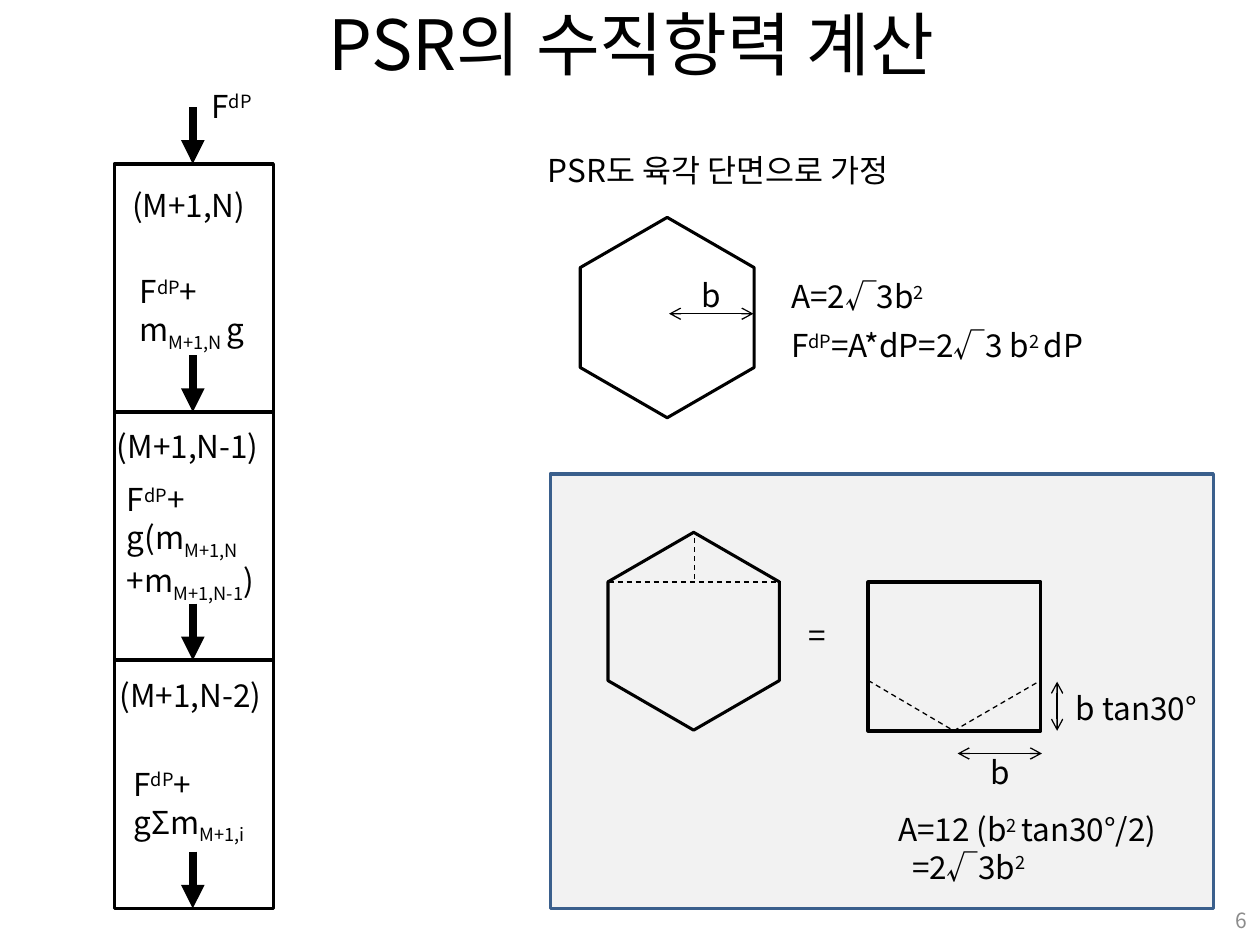
"""Build the slide on the normal force of the PSR columns."""
from lxml import etree
from pptx import Presentation
from pptx.dml.color import RGBColor
from pptx.enum.dml import MSO_LINE
from pptx.enum.shapes import MSO_CONNECTOR, MSO_SHAPE as SHAPE
from pptx.enum.text import MSO_ANCHOR as ANCHOR, MSO_AUTO_SIZE as FIT, PP_ALIGN as ALIGN
from pptx.oxml.ns import qn
from pptx.util import Inches, Pt

COLORS = {"ink": "000000", "paper": "FFFFFF", "panel": "F2F2F2",
          "border": "3A5F8C", "number": "8C8C8C"}
FONT = "Noto Sans CJK KR"
BASELINES = {"^": "30000", "_": "-25000"}


def color(name):
    return RGBColor.from_string(COLORS[name])


def write(frame, text, size=18, ink="ink", align=ALIGN.LEFT):
    """Split runs at bars; a leading ^ raises a run and a leading _ lowers it."""
    for index, content in enumerate(text.split("\n")):
        paragraph = frame.paragraphs[0] if index == 0 else frame.add_paragraph()
        paragraph.alignment = align
        for part in content.split("|"):
            run = paragraph.add_run()
            run.text = part.lstrip("^_")
            for name, value in {"size": Pt(size), "name": FONT}.items():
                setattr(run.font, name, value)
            run.font.color.rgb = color(ink)
            properties = run.font._element
            etree.SubElement(properties, qn("a:ea"), typeface=FONT)
            if part[0] in BASELINES:
                properties.set("baseline", BASELINES[part[0]])


deck = Presentation()
deck.slide_width, deck.slide_height = Inches(10), Inches(7.5)
slide = deck.slides.add_slide(deck.slide_layouts[5])

title = slide.shapes.title
title.left, title.top, title.width, title.height = map(Inches, (0.51, 0, 9, 0.68))
title.text_frame.vertical_anchor = ANCHOR.MIDDLE
write(title.text_frame, "PSR의 수직항력 계산", 39.6, align=ALIGN.CENTER)

page = slide.shapes
column = page.add_group_shape().shapes
panel = page.add_group_shape().shapes

column_top, cell_height, arrow_length = 1.3, 1.97, 0.45
cell_tops = [column_top + cell_height * row for row in range(4)]

outlines = [
    (page, SHAPE.HEXAGON, (4.5, 1.83, 1.59, 1.38), None, "ink", 1.75),
    (panel, SHAPE.RECTANGLE, (4.37, 3.76, 5.26, 3.45), "panel", "border", 2),
    (panel, SHAPE.HEXAGON, (4.72, 4.33, 1.57, 1.36), None, "ink", 1.75),
    (panel, SHAPE.RECTANGLE, (6.89, 4.62, 1.37, 1.18), None, "ink", 2),
]
outlines += [(column, SHAPE.RECTANGLE, (0.91, top, 1.26, cell_height), "paper", "ink", 2)
             for top in cell_tops[:3]]
for home, kind, box, fill, edge, weight in outlines:
    outline = home.add_shape(kind, *map(Inches, box))
    outline.shadow.inherit = False
    if fill:
        outline.fill.solid()
        outline.fill.fore_color.rgb = color(fill)
    else:
        outline.fill.background()
    outline.line.color.rgb = color(edge)
    outline.line.width = Pt(weight)
    if kind == SHAPE.HEXAGON:
        outline.rotation = 90
        outline.adjustments[0] = 0.289
        outline.adjustments[1] = 1.155

force = {"tailEnd": "triangle"}
measure = {"headEnd": "arrow", "tailEnd": "arrow"}
strokes = [
    (page, (5.31, 2.49, 5.98, 2.49), 0.75, measure),
    (panel, (7.6, 5.98, 8.27, 5.98), 0.75, measure),
    (panel, (8.39, 5.41, 8.39, 5.8), 0.75, measure),
    (panel, (6.89, 5.4, 7.57, 5.8), 0.75, {}),
    (panel, (7.57, 5.8, 8.26, 5.4), 0.75, {}),
    (panel, (4.83, 4.62, 6.2, 4.62), 0.75, {}),
    (panel, (5.51, 4.27, 5.51, 4.62), 0.75, {}),
]
strokes += [(column, (1.53, top - arrow_length, 1.53, top), 4.5, force)
            for top in cell_tops]
for home, ends, weight, heads in strokes:
    stroke = home.add_connector(MSO_CONNECTOR.STRAIGHT, *map(Inches, ends))
    stroke.line.color.rgb = color("ink")
    stroke.line.width = Pt(weight)
    if not heads:
        stroke.line.dash_style = MSO_LINE.DASH
    for end, head in heads.items():
        etree.SubElement(stroke.line._get_or_add_ln(), qn(f"a:{end}"), type=head)
    etree.SubElement(stroke._element.spPr, qn("a:effectLst"))

labels = [
    (page, (4.25, 1.15, 3.18, 0.4), "PSR도 육각 단면으로 가정"),
    (page, (0.95, 1.43, 1.15, 0.4), "(M+1,N)"),
    (page, (0.83, 3.34, 1.39, 0.4), "(M+1,N-1)"),
    (page, (0.85, 5.32, 1.39, 0.4), "(M+1,N-2)"),
    (page, (6.18, 2.15, 1.28, 0.4), "A=2√3b|^2"),
    (page, (6.18, 2.54, 2.58, 0.4), "F|^dP|=A*dP=2√3 b|^2 |dP"),
    (page, (5.47, 2.14, 0.35, 0.4), "b"),
    (column, (1.58, 0.64, 0.53, 0.4), "F|^dP"),
    (column, (1.01, 2.11, 1.17, 0.71), "F|^dP|+\nm|_M+1,N |g"),
    (column, (0.91, 3.76, 1.37, 1.01), "F|^dP|+\ng(m|_M+1,N\n+m|_M+1,N-1|)"),
    (column, (0.96, 6.02, 1.15, 0.71), "F|^dP|+\ngΣm|_M+1,i"),
    (panel, (6.42, 4.84, 0.08, 0.4), "="),
    (panel, (7.76, 5.93, 0.35, 0.4), "b"),
    (panel, (8.44, 5.42, 1.18, 0.4), "b tan30°"),
    (panel, (7.03, 6.38, 2.35, 0.71), "A=12 (b|^2 |tan30°/2)\n=2√3b|^2"),
]
for home, box, text in labels:
    label = home.add_textbox(*map(Inches, box)).text_frame
    label.word_wrap = False
    label.auto_size = FIT.SHAPE_TO_FIT_TEXT
    write(label, text)
    for paragraph in label.paragraphs:
        if paragraph.text.startswith("="):
            indent = Inches(0.11) if len(label.paragraphs) > 1 else 0
            paragraph._p.get_or_add_pPr().set("marL", str(indent))

page_number = page.add_textbox(*map(Inches, (7.67, 7.1, 2.33, 0.4))).text_frame
page_number.word_wrap = True
page_number.vertical_anchor = ANCHOR.MIDDLE
write(page_number, "6", 12, "number", ALIGN.RIGHT)

deck.save("out.pptx")
